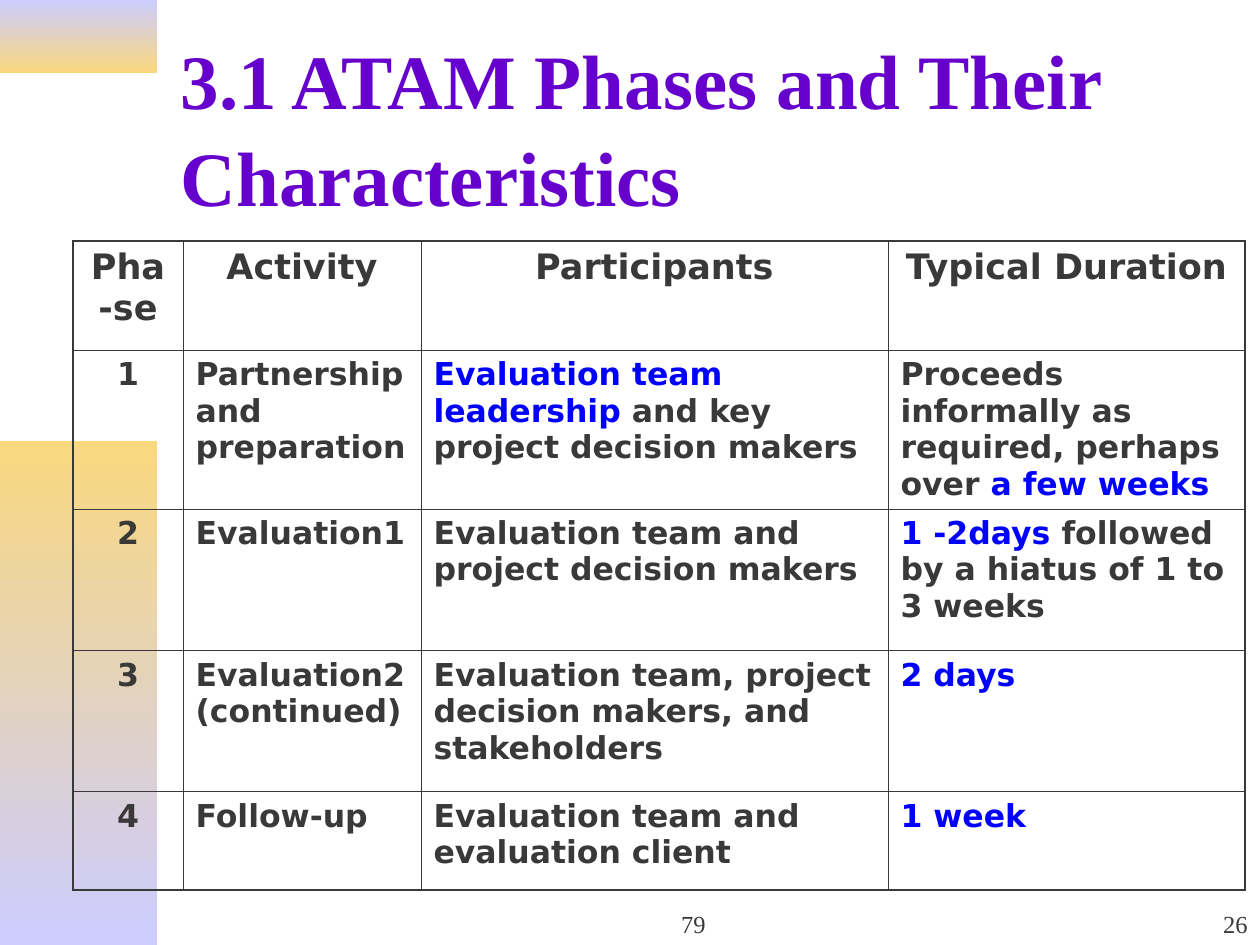
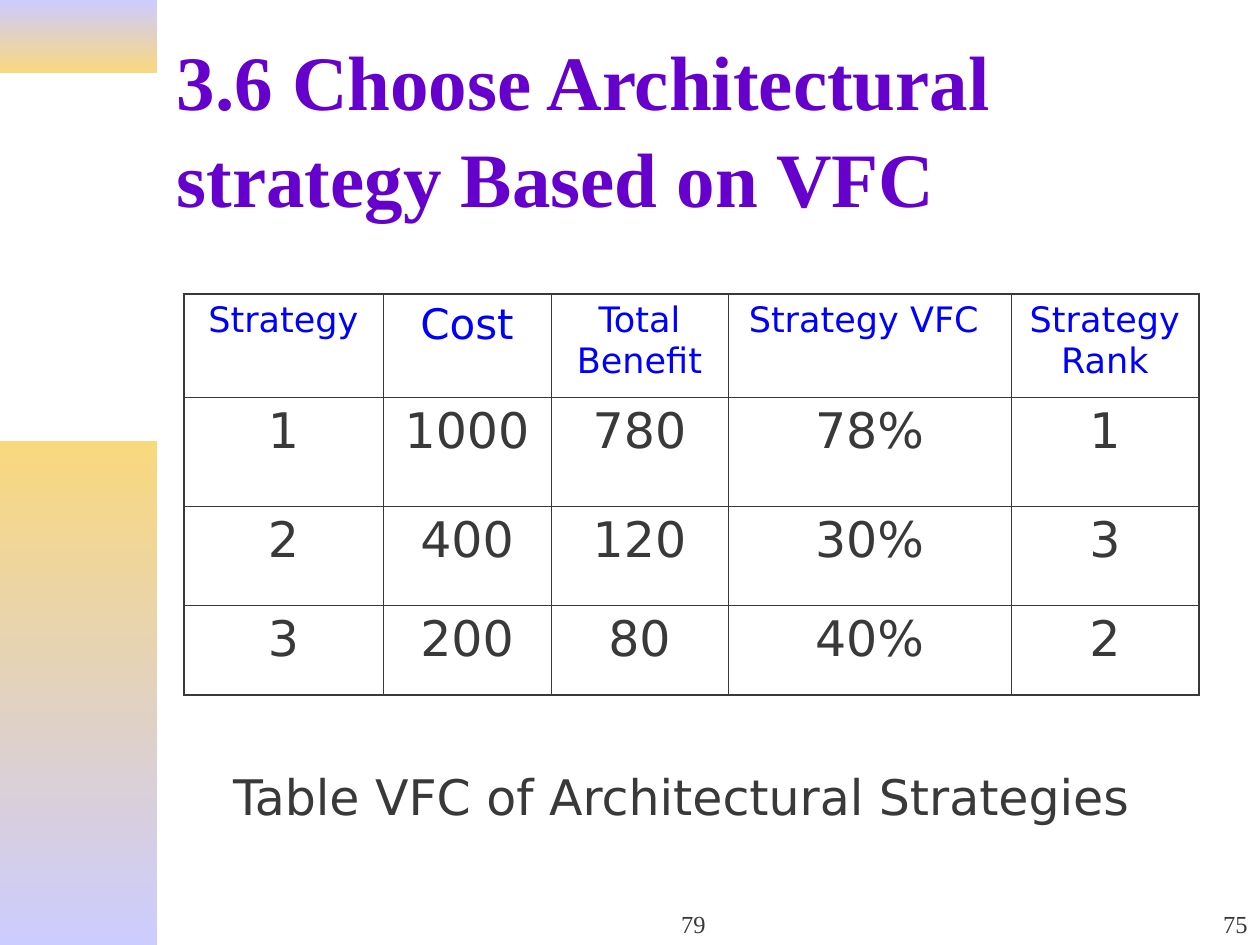
import pptx
import pptx.util
from lxml import etree
from pptx.dml.color import RGBColor
from pptx.enum.shapes import MSO_SHAPE
from pptx.enum.text import MSO_ANCHOR, MSO_AUTO_SIZE, PP_ALIGN
from pptx.oxml.ns import qn

PX = 914400 / 126
SERIF, SANS = "Times New Roman", "DejaVu Sans"
COLORS = {"title": "6600CC", "text": "393939", "key": "0000FF",
          "lilac": "CCCCFF", "gold": "F9D87E"}
BANDS = [(0, 73, "lilac", "gold"), (441, 504, "gold", "lilac")]
OUTER, INNER = 1.08, 0.45

# Text between asterisks is set in the key colour.
SLIDES = [
    {
        "title": "3.1 ATAM Phases and Their Characteristics",
        "title_box": (168, 42, 1071, 166),
        "number": "26",
        "origin": (73, 241),
        "cols": [110, 238, 467, 357],
        "heights": [109, 147, 142, 141, 98],
        "sizes": (20, 18),
        "bold": True,
        "centred_cols": {0},
        "rows": [
            ["Pha-se", "Activity", "Participants", "Typical Duration"],
            ["1", "Partnership and preparation",
             "*Evaluation team leadership *and key project decision makers",
             "Proceeds informally as required, perhaps over *a few weeks*"],
            ["2", "Evaluation1", "Evaluation team and project decision makers",
             "*1 -2days *followed by a hiatus of 1 to 3 weeks"],
            ["3", "Evaluation2 (continued)",
             "Evaluation team, project decision makers, and stakeholders", "*2 days*"],
            ["4", "Follow-up", "Evaluation team and evaluation client", "*1 week*"],
        ],
    },
    {
        "title": "3.6 Choose Architectural strategy Based on VFC",
        "title_box": (164, 35, 1037, 181),
        "number": "75",
        "origin": (184, 294),
        "cols": [199, 168, 177, 283, 188],
        "heights": [103, 109, 99, 90],
        "sizes": (20, 28),
        "bold": False,
        "centred_cols": {0, 1, 2, 3, 4},
        "rows": [
            ["*Strategy*", "*Cost*", "*Total Benefit*", "*Strategy VFC *", "*Strategy Rank*"],
            ["1", "1000", "780", "78%", "1"],
            ["2", "400", "120", "30%", "3"],
            ["3", "200", "80", "40%", "2"],
        ],
        "caption": "Table VFC of Architectural Strategies",
    },
]


def write(tf, text, size, font, color="text", bold=False, align=PP_ALIGN.LEFT):
    """Fill a text frame with one paragraph, colouring the parts between asterisks."""
    tf.word_wrap = True
    p = tf.paragraphs[0]
    p.alignment = align
    for i, part in enumerate(text.split("*")):
        if part:
            r = p.add_run()
            r.text = part
            r.font.size = pptx.util.Pt(size)
            r.font.name = font
            r.font.bold = bold
            r.font.color.rgb = RGBColor.from_string(COLORS["key" if i % 2 else color])


def set_borders(cell, widths):
    tcPr = cell._tc.get_or_add_tcPr()
    for side, width in zip("LRTB", widths):
        ln = etree.SubElement(tcPr, qn(f"a:ln{side}"), w=str(pptx.util.Pt(width)))
        fill = etree.SubElement(ln, qn("a:solidFill"))
        etree.SubElement(fill, qn("a:srgbClr"), val=COLORS["text"])


prs = pptx.Presentation()
prs.slide_width = pptx.util.Inches(10)
prs.slide_height = pptx.util.Inches(7.5)

for content in SLIDES:
    s = prs.slides.add_slide(prs.slide_layouts[5])

    for top, height, first, last in BANDS:
        sp = s.shapes.add_shape(MSO_SHAPE.RECTANGLE, 0, int(top * PX),
                                int(157 * PX), int(height * PX))
        sp.shadow.inherit = False
        sp.line.fill.background()
        sp.fill.gradient()
        sp.fill.gradient_angle = 270
        for stop, name in zip(sp.fill.gradient_stops, (first, last)):
            stop.color.rgb = RGBColor.from_string(COLORS[name])

    title = s.shapes.title
    title.left, title.top, title.width, title.height = (
        int(v * PX) for v in content["title_box"])
    tf = title.text_frame
    tf.auto_size = MSO_AUTO_SIZE.NONE
    tf.vertical_anchor = MSO_ANCHOR.MIDDLE
    tf.paragraphs[0].line_spacing = 1.05
    write(tf, content["title"], 44, SERIF, "title", True)

    rows, cols, heights = content["rows"], content["cols"], content["heights"]
    left, top = content["origin"]
    table = s.shapes.add_table(len(rows), len(cols), int(left * PX), int(top * PX),
                               int(sum(cols) * PX), int(sum(heights) * PX)).table
    table.first_row = table.horz_banding = False
    for column, width in zip(table.columns, cols):
        column.width = int(width * PX)
    for row, height in zip(table.rows, heights):
        row.height = int(height * PX)
    for i, row in enumerate(rows):
        for j, text in enumerate(row):
            cell = table.cell(i, j)
            edges = (j == 0, j == len(cols) - 1, i == 0, i == len(rows) - 1)
            set_borders(cell, [OUTER if edge else INNER for edge in edges])
            cell.fill.background()
            size = 24 if text == "*Cost*" else content["sizes"][min(i, 1)]
            centred = i == 0 or j in content["centred_cols"]
            write(cell.text_frame, text, size, SANS, bold=content["bold"],
                  align=PP_ALIGN.CENTER if centred else PP_ALIGN.LEFT)

    boxes = [
        ("79", (494, 882, 399, 63), 14, SERIF, PP_ALIGN.CENTER, MSO_ANCHOR.BOTTOM),
        (content["number"], (998, 882, 262, 63), 14, SERIF, PP_ALIGN.RIGHT, MSO_ANCHOR.BOTTOM),
    ]
    if "caption" in content:
        boxes.insert(0, (content["caption"], (164, 760, 1034, 89), 28, SANS,
                         PP_ALIGN.CENTER, MSO_ANCHOR.TOP))
    for text, box, size, font, align, anchor in boxes:
        tf = s.shapes.add_textbox(*(int(v * PX) for v in box)).text_frame
        tf.vertical_anchor = anchor
        write(tf, text, size, font, align=align)

prs.save("out.pptx")
